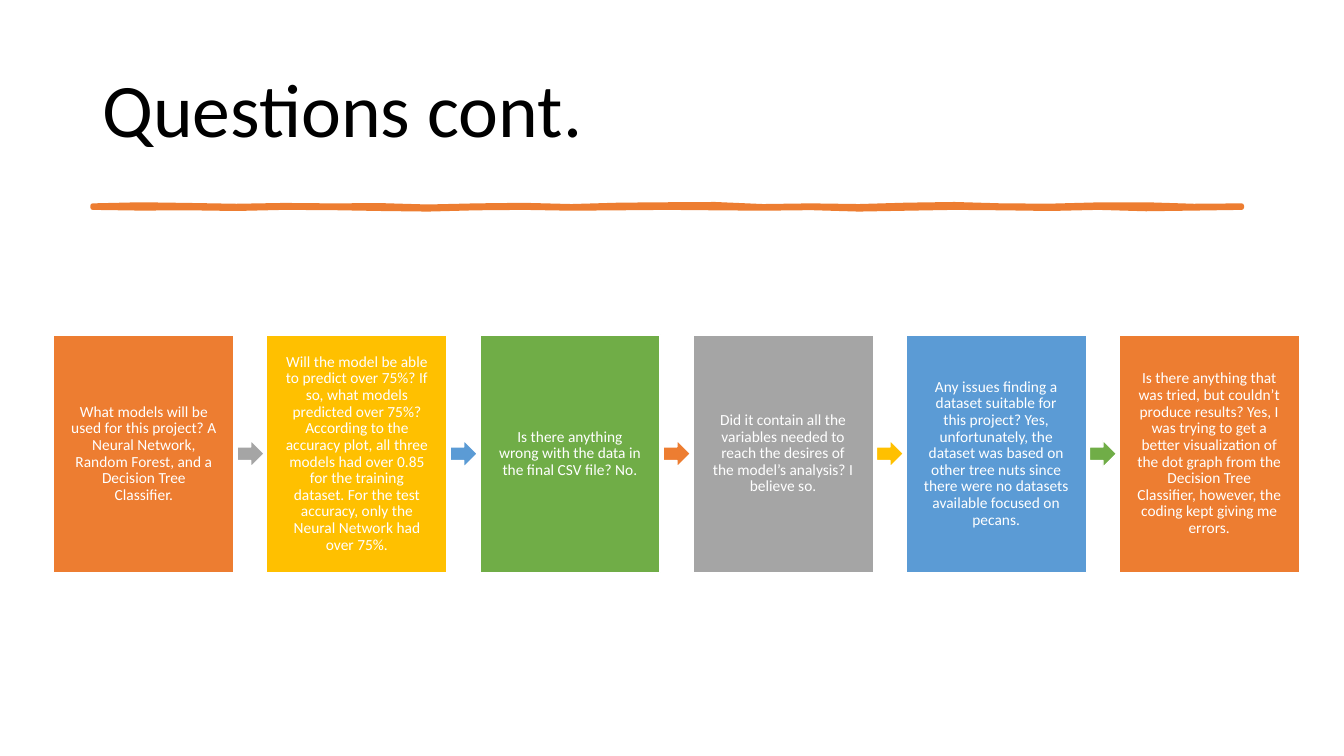
import dataclasses

import lxml.etree
import pptx
import pptx.dml.color
import pptx.enum.shapes
import pptx.enum.text
import pptx.oxml.ns
import pptx.util

Pt = pptx.util.Pt
SHAPES = pptx.enum.shapes.MSO_SHAPE
ALIGN = pptx.enum.text.PP_ALIGN
MIDDLE = pptx.enum.text.MSO_ANCHOR.MIDDLE


@dataclasses.dataclass(frozen=True)
class Theme:
    font: str = "Calibri"
    title_size: float = 54
    body_size: float = 11
    black: str = "000000"
    white: str = "FFFFFF"
    orange: str = "ED7D31"
    gold: str = "FFC000"
    green: str = "70AD47"
    gray: str = "A5A5A5"
    blue: str = "5B9BD5"


THEME = Theme()
BOX_COLORS = [THEME.orange, THEME.gold, THEME.green, THEME.gray, THEME.blue]
ARROW_COLORS = [THEME.gray, THEME.blue, THEME.orange, THEME.gold, THEME.green]

QUESTIONS = [
    "What models will be used for this project? A Neural Network, Random Forest, "
    "and a Decision Tree Classifier.",
    "Will the model be able to predict over 75%? If so, what models predicted over 75%? "
    "According to the accuracy plot, all three models had over 0.85 for the training dataset. "
    "For the test accuracy, only the Neural Network had over 75%.",
    "Is there anything wrong with the data in the final CSV file? No.",
    "Did it contain all the variables needed to reach the desires of the model’s analysis? "
    "I believe so.",
    "Any issues finding a dataset suitable for this project? Yes, unfortunately, the dataset "
    "was based on other tree nuts since there were no datasets available focused on pecans.",
    "Is there anything that was tried, but couldn’t produce results? Yes, I was trying to get "
    "a better visualization of the dot graph from the Decision Tree Classifier, however, "
    "the coding kept giving me errors.",
]

# Row of boxes, in points
ROW_LEFT, ROW_TOP, PITCH = 38.4, 239.2, 152.2
BOX_WIDTH, BOX_HEIGHT, BOX_INSET = 128.8, 169.8, 12.4
ARROW_OFFSET, ARROW_SIZE = 131, 19.4

# Brush stroke: edge heights at equal steps, in points
STROKE_LEFT, STROKE_STEP = 66.2, 34.2
STROKE_TOP, STROKE_BOTTOM = 146.9, 148.3
TOP_WAVES = [0, -0.8, -0.3, 0.3, -0.3, 0, -0.2, 0.8, 0, -0.4, 0.5, -0.5, -0.8,
             -1, 0.5, 0, 0.5, -0.5, -1, 0, 0.2, -0.7, -0.8, 0.3, 0]
BOTTOM_WAVES = [0, 0.5, 0.3, 0.8, 0, 0.2, 0.8, 1.2, 0.3, 0, 0.6, 0.3, 0,
                0.3, 0.6, 0.2, 1.2, 0.6, 0, 0.3, 0.8, 0, 1, 0.5, 0]


def rgb(color):
    return pptx.dml.color.RGBColor.from_string(color)


def write_text(shape, text, size, color, align):
    frame = shape.text_frame
    frame.text = text
    frame.word_wrap = True
    frame.vertical_anchor = MIDDLE
    para = frame.paragraphs[0]
    para.alignment = align
    para.line_spacing = 0.9
    font = para.runs[0].font
    font.name, font.size = THEME.font, Pt(size)
    font.color.rgb = rgb(color)


def paint(shape, fill, line, width):
    shape.shadow.inherit = False
    shape.fill.solid()
    shape.fill.fore_color.rgb = rgb(fill)
    shape.line.color.rgb = rgb(line)
    shape.line.width = Pt(width)


def add_title(page, text):
    title = page.shapes.title
    title.left, title.top, title.width, title.height = Pt(66), Pt(28.8), Pt(828), Pt(104.4)
    write_text(title, text, THEME.title_size, THEME.black, ALIGN.LEFT)


def add_brush_stroke(page):
    def edge(base, waves):
        return [(Pt(STROKE_LEFT + index * STROKE_STEP), Pt(base + wave))
                for index, wave in enumerate(waves)]

    outline = edge(STROKE_TOP, TOP_WAVES) + edge(STROKE_BOTTOM, BOTTOM_WAVES)[::-1]
    builder = page.shapes.build_freeform(*outline[0])
    builder.add_line_segments(outline[1:], close=True)
    stroke = builder.convert_to_shape()
    paint(stroke, THEME.orange, THEME.orange, 3.25)
    # Round joins soften the ends
    line = stroke.element.spPr.find(pptx.oxml.ns.qn("a:ln"))
    lxml.etree.SubElement(line, pptx.oxml.ns.qn("a:round"))


def add_question_box(page, left, text, color):
    box = page.shapes.add_shape(SHAPES.RECTANGLE, Pt(left), Pt(ROW_TOP),
                                Pt(BOX_WIDTH), Pt(BOX_HEIGHT))
    paint(box, color, THEME.white, 1)
    frame = box.text_frame
    frame.margin_left = frame.margin_right = Pt(BOX_INSET)
    frame.margin_top = frame.margin_bottom = Pt(BOX_INSET)
    write_text(box, text, THEME.body_size, THEME.white, ALIGN.CENTER)


def add_arrow(page, left, color):
    top = ROW_TOP + (BOX_HEIGHT - ARROW_SIZE) / 2
    arrow = page.shapes.add_shape(SHAPES.RIGHT_ARROW, Pt(left), Pt(top),
                                  Pt(ARROW_SIZE), Pt(ARROW_SIZE))
    paint(arrow, color, THEME.white, 1)


def main():
    deck = pptx.Presentation()
    deck.slide_width, deck.slide_height = Pt(960), Pt(540)
    page = deck.slides.add_slide(deck.slide_layouts.get_by_name("Title Only"))

    # Heading
    add_title(page, "Questions cont.")
    add_brush_stroke(page)

    # Questions, with an arrow between neighbours
    for index, question in enumerate(QUESTIONS):
        left = ROW_LEFT + index * PITCH
        add_question_box(page, left, question, BOX_COLORS[index % len(BOX_COLORS)])
        if index < len(ARROW_COLORS):
            add_arrow(page, left + ARROW_OFFSET, ARROW_COLORS[index])

    deck.save("out.pptx")


if __name__ == "__main__":
    main()
